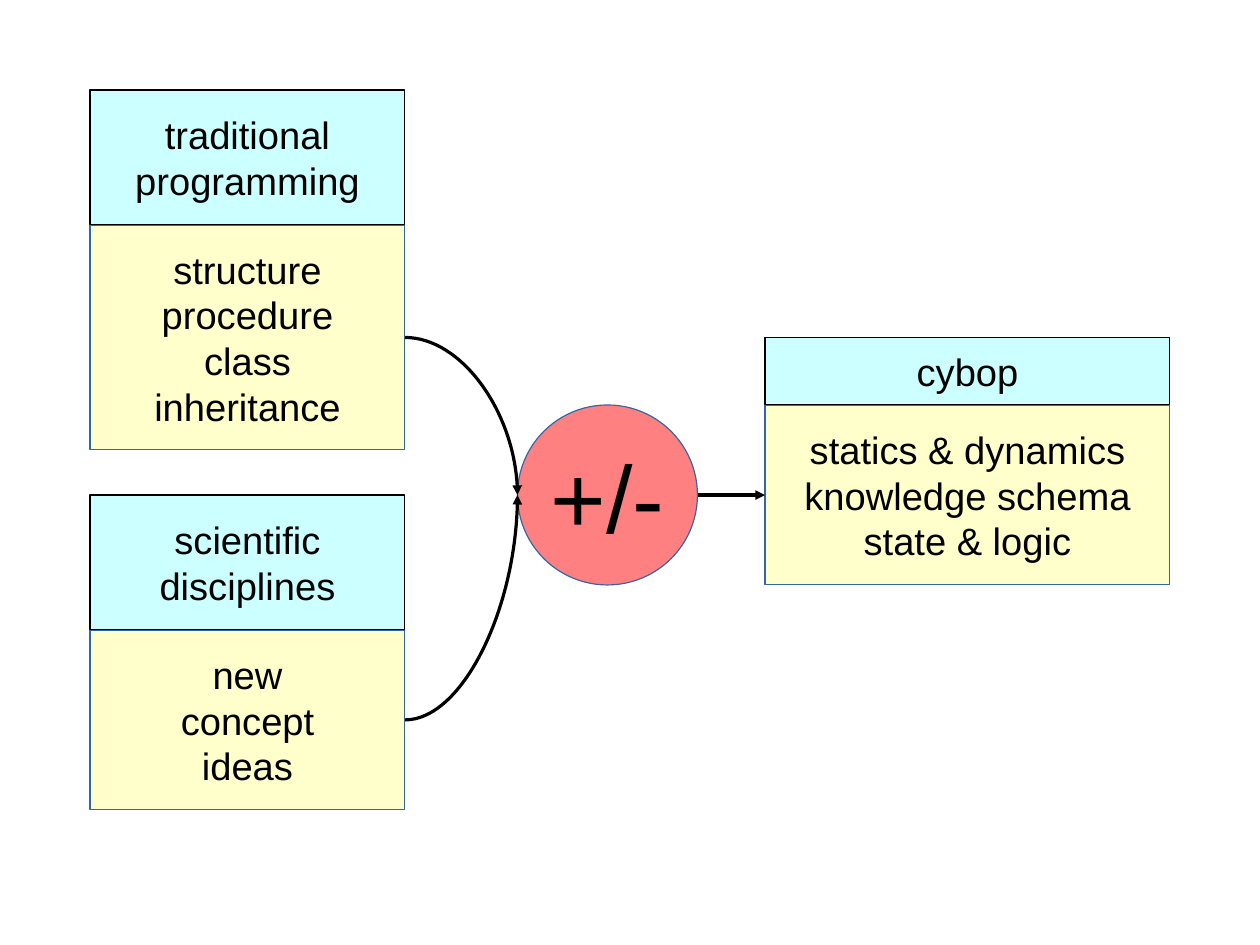
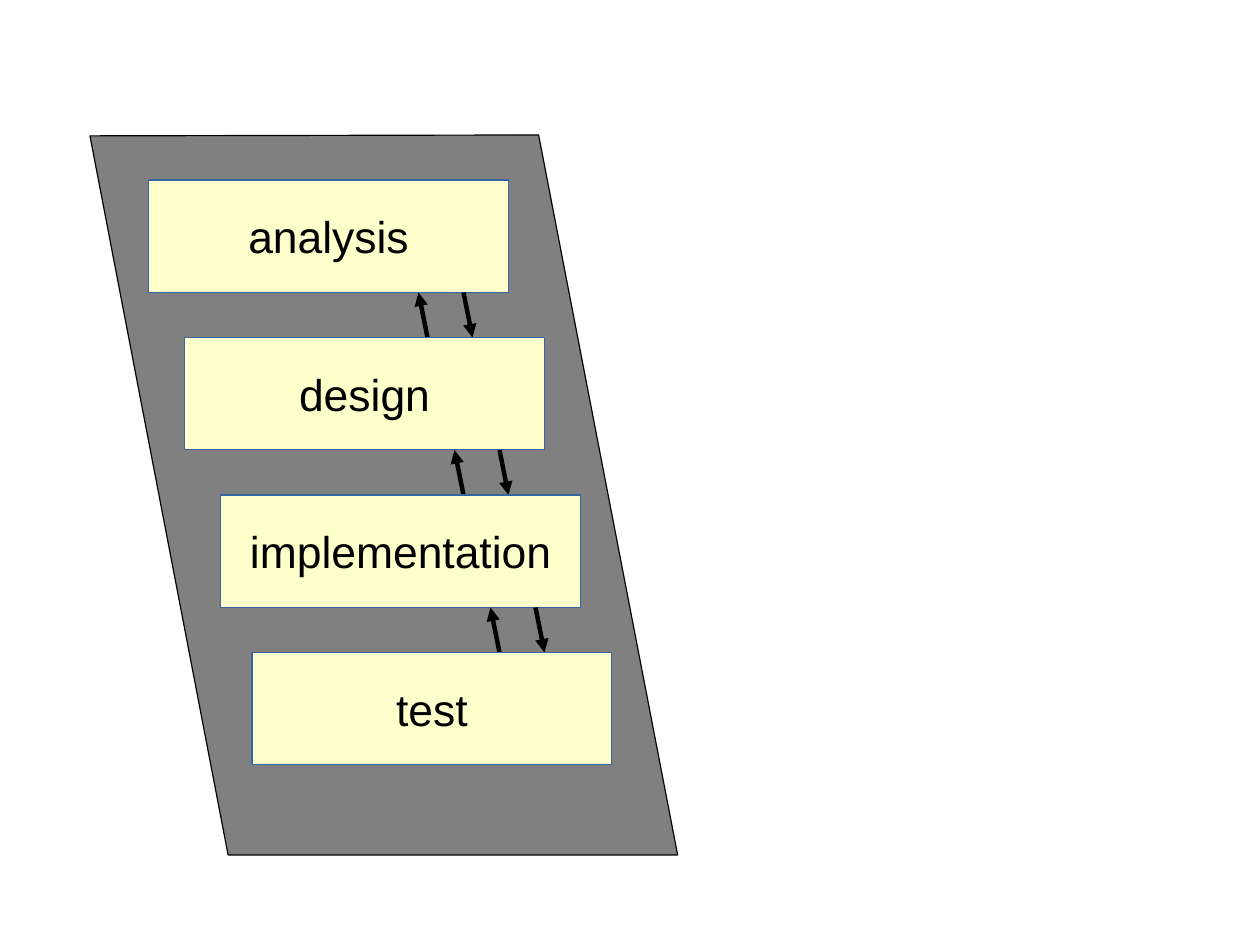
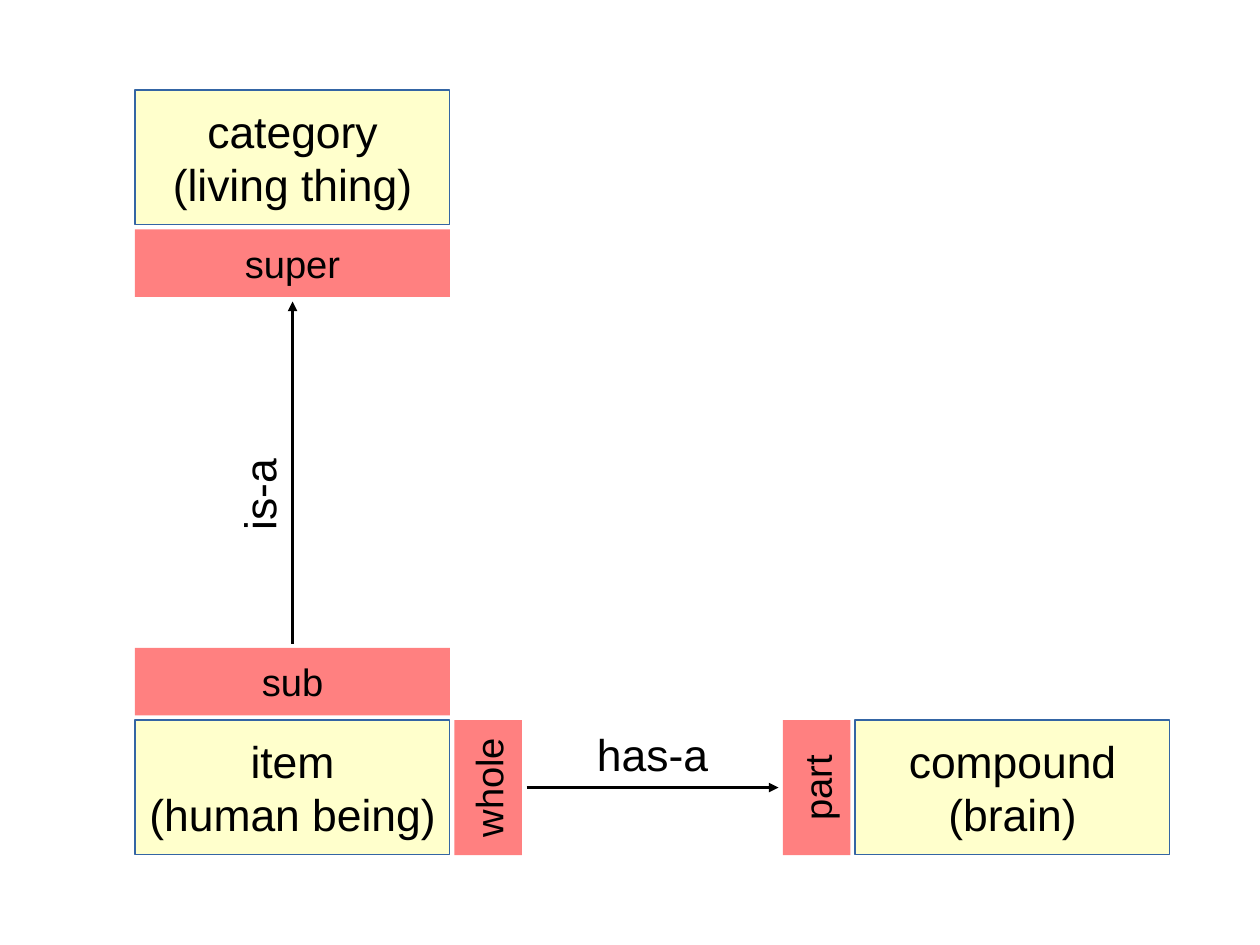
from dataclasses import dataclass

from lxml import etree
from pptx import Presentation
from pptx.dml.color import RGBColor
from pptx.enum.shapes import MSO_CONNECTOR, MSO_SHAPE
from pptx.enum.text import MSO_ANCHOR, PP_ALIGN
from pptx.oxml.ns import qn
from pptx.util import Cm, Pt

RECT = MSO_SHAPE.RECTANGLE
OVAL = MSO_SHAPE.OVAL
LINE = MSO_CONNECTOR.STRAIGHT
CURVE = MSO_CONNECTOR.CURVE
MIDDLE = MSO_ANCHOR.MIDDLE
CENTER = PP_ALIGN.CENTER
BLANK = 6


@dataclass(frozen=True)
class Theme:
    font: str = "Arial"
    ink: str = "000000"
    edge: str = "3465A4"
    head: str = "CCFFFF"
    body: str = "FFFFCC"
    accent: str = "FF8080"
    frame: str = "808080"
    small: int = 24
    large: int = 28
    huge: int = 60
    hair: float = 0
    thick: float = 2.83


def write(shape, text, *, font, size, color):
    frame = shape.text_frame
    frame.word_wrap = True
    frame.vertical_anchor = MIDDLE
    frame.margin_left = frame.margin_right = 0
    frame.margin_top = frame.margin_bottom = 0
    for i, part in enumerate(text.split("\n")):
        para = frame.paragraphs[0] if i == 0 else frame.add_paragraph()
        para.alignment = CENTER
        run = para.add_run()
        run.text = part
        run.font.name = font
        run.font.size = Pt(size)
        run.font.color.rgb = RGBColor.from_string(color)


class Deck:
    def __init__(self, theme):
        self.theme = theme
        self.show = Presentation()
        self.show.slide_width = Cm(28)
        self.show.slide_height = Cm(21)
        self.shapes = None

    def page(self):
        layout = self.show.slide_layouts[BLANK]
        self.shapes = self.show.slides.add_slide(layout).shapes

    def paint(self, shape, fill, edge):
        shape.shadow.inherit = False
        shape.fill.solid()
        shape.fill.fore_color.rgb = RGBColor.from_string(fill)
        if edge:
            shape.line.color.rgb = RGBColor.from_string(edge)
            shape.line.width = Pt(self.theme.hair)
        else:
            shape.line.fill.background()

    def text(self, shape, text, size):
        write(shape, text, font=self.theme.font, size=size, color=self.theme.ink)

    def box(self, text, x, y, w, h, fill, edge=None, size=None, kind=RECT, turn=0):
        shape = self.shapes.add_shape(kind, Cm(x), Cm(y), Cm(w), Cm(h))
        self.paint(shape, fill, edge)
        shape.rotation = turn
        self.text(shape, text, size or self.theme.small)

    def cell(self, text, x, y, w, h, size=None):
        self.box(text, x, y, w, h, self.theme.body, self.theme.edge, size)

    def card(self, head, body, x, y, w, top, low):
        self.cell(body, x, y + top, w, low)
        self.box(head, x, y, w, top, self.theme.head, self.theme.ink)

    def label(self, text, x, y, w, h, turn=0):
        shape = self.shapes.add_textbox(Cm(x), Cm(y), Cm(w), Cm(h))
        shape.rotation = turn
        self.text(shape, text, self.theme.large)

    def arrow(self, x1, y1, x2, y2, width=0, kind=LINE):
        link = self.shapes.add_connector(kind, Cm(x1), Cm(y1), Cm(x2), Cm(y2))
        link.line.color.rgb = RGBColor.from_string(self.theme.ink)
        link.line.width = Pt(width)
        props = link.element.spPr
        if kind == CURVE:
            props.find(qn("a:prstGeom")).set("prst", "curvedConnector2")
        etree.SubElement(props.find(qn("a:ln")), qn("a:tailEnd"), type="triangle")
        etree.SubElement(props, qn("a:effectLst"))

    def outline(self, points, fill, edge):
        spots = [(Cm(x), Cm(y)) for x, y in points]
        form = self.shapes.build_freeform(*spots[0])
        form.add_line_segments(spots[1:], close=True)
        self.paint(form.convert_to_shape(), fill, edge)


def merge(deck):
    theme = deck.theme
    deck.page()
    deck.card("cybop", "statics & dynamics\nknowledge schema\nstate & logic",
              17, 7.5, 9, 1.5, 4)
    deck.arrow(15.5, 11, 17, 11)
    deck.box("+/-", 11.5, 9, 4, 4, theme.accent, theme.edge, theme.huge, OVAL)
    for y in (7.5, 16):
        deck.arrow(9, y, 11.5, 11, kind=CURVE)
    deck.card("traditional\nprogramming",
              "structure\nprocedure\nclass\ninheritance", 2, 2, 7, 3, 5)
    deck.card("scientific\ndisciplines", "new\nconcept\nideas", 2, 11, 7, 3, 4)


def phases(deck):
    theme = deck.theme
    high, pitch = 2.5, 3.5
    steps = [("analysis", 3.3), ("design", 4.1), ("implementation", 4.9), ("test", 5.6)]
    deck.page()
    deck.outline([(5.07, 19), (2, 3.02), (11.97, 3), (15.06, 19)],
                 theme.frame, theme.ink)
    for i, (name, x) in enumerate(steps):
        y = 4 + i * pitch
        deck.cell(name, x, y, 8, high, theme.large)
        if i < len(steps) - 1:
            deck.arrow(x + 7, y + high, x + 7.2, y + pitch, theme.thick)
            deck.arrow(x + 6.2, y + pitch, x + 6, y + high, theme.thick)


def links(deck):
    theme = deck.theme
    deck.page()
    for text, x, y in (("item\n(human being)", 3, 16),
                       ("category\n(living thing)", 3, 2),
                       ("compound\n(brain)", 19, 16)):
        deck.cell(text, x, y, 7, 3, theme.large)
    for text, y in (("sub", 14.4), ("super", 5.1)):
        deck.box(text, 3, y, 7, 1.5, theme.accent)
    for text, x in (("whole", 9.35), ("part", 16.65)):
        deck.box(text, x, 16.75, 3, 1.5, theme.accent, turn=270)
    deck.arrow(6.5, 14.3, 6.5, 6.7)
    deck.arrow(11.7, 17.5, 17.3, 17.5)
    deck.label("is-a", 4.25, 10.25, 3, 1.5, 270)
    deck.label("has-a", 13, 16, 3, 1.5)


def main():
    deck = Deck(Theme())
    for build in (merge, phases, links):
        build(deck)
    deck.show.save("out.pptx")


if __name__ == "__main__":
    main()
